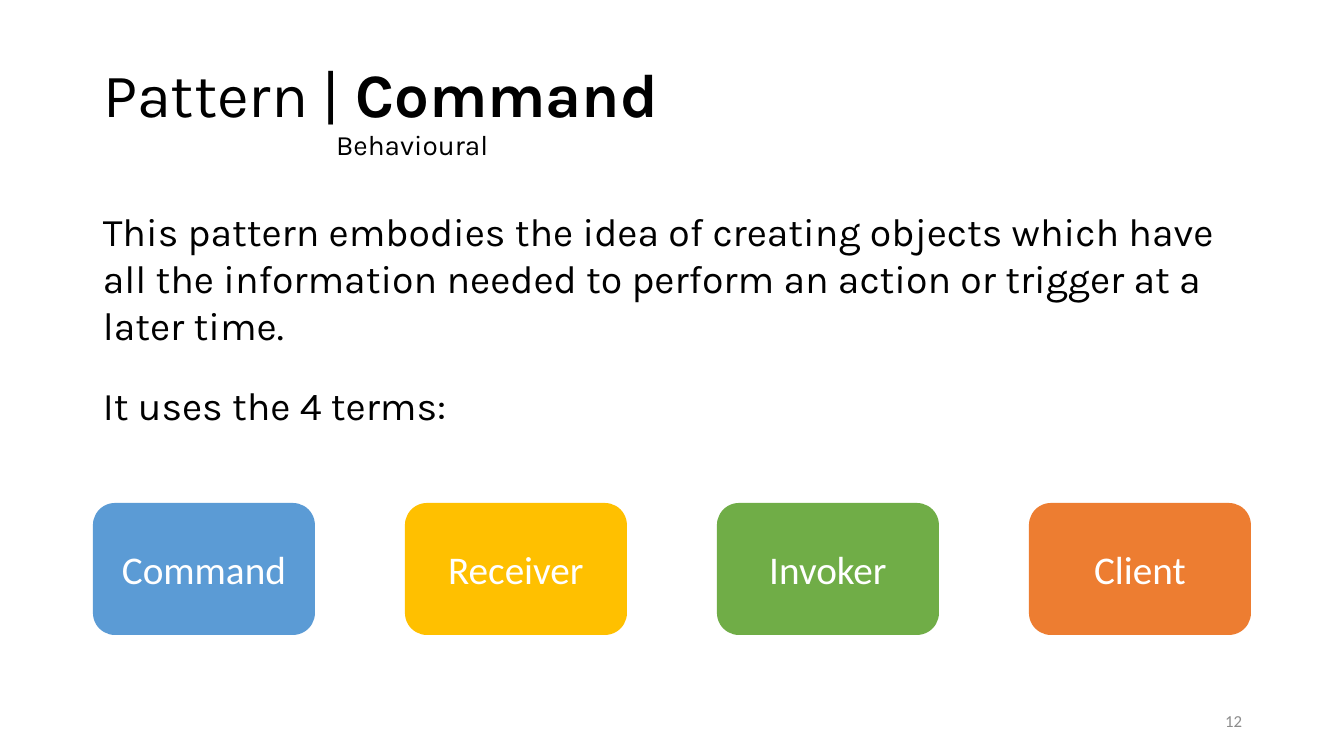
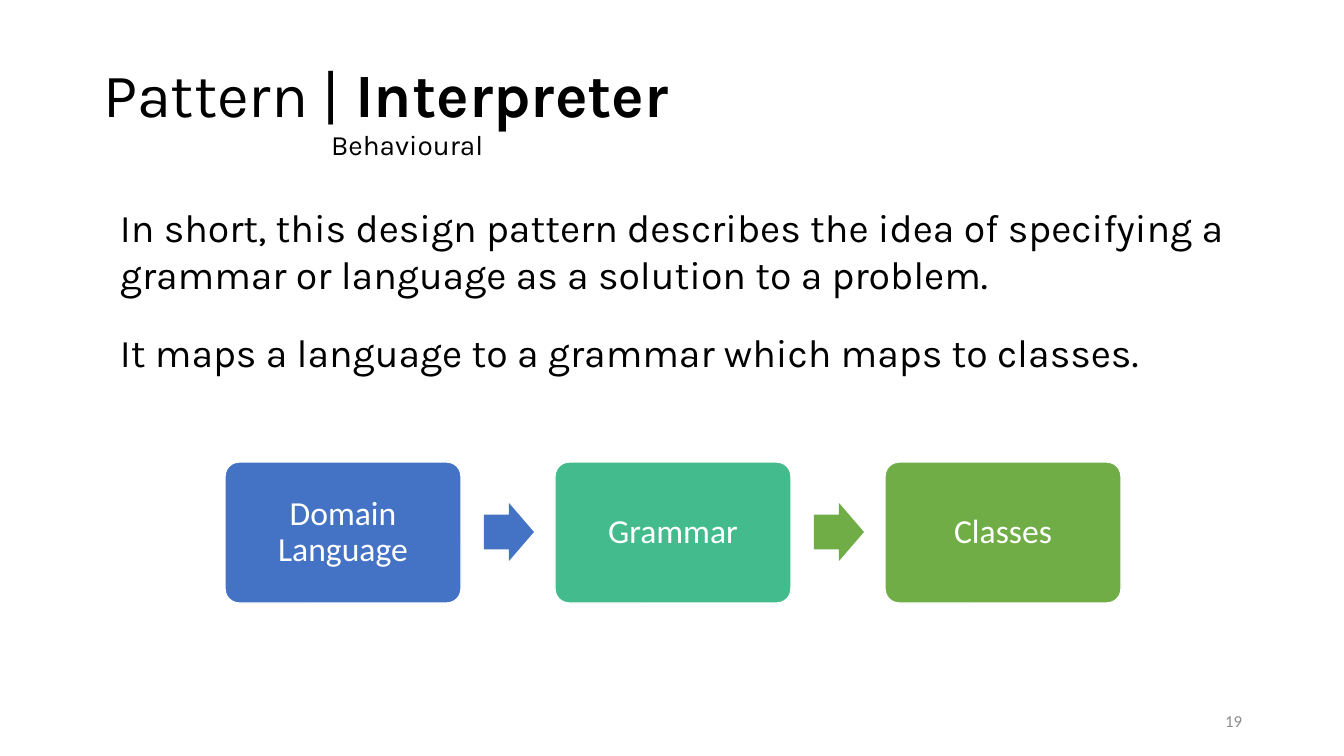
"""Two slides on behavioural design patterns."""
from dataclasses import dataclass

from lxml import etree
from pptx import Presentation
from pptx import util as u
from pptx.dml.color import RGBColor
from pptx.enum import shapes, text
from pptx.oxml import ns
from pptx.shapes.autoshape import Shape
from pptx.slide import Slide
from pptx.text.text import Font, TextFrame

EMU_PER_PX = 914400 / 100.8
HEADING_FONT, LABEL_FONT = "Karla", "Calibri"
COLORS = {
    "text": "000000", "number": "8C8C8C", "white": "FFFFFF",
    "sky": "5B9BD5", "gold": "FFC000", "green": "70AD47",
    "orange": "ED7D31", "blue": "4472C4", "teal": "43BB8D",
}


@dataclass(frozen=True)
class Box:
    """A rectangle in pixels."""
    left: int
    top: int
    width: int
    height: int

    def emu(self) -> tuple[u.Emu, ...]:
        """Return left, top, width and height in EMU."""
        return tuple(px(v) for v in (self.left, self.top, self.width, self.height))

    def shifted(self, dx: int) -> "Box":
        """Return the same box moved right by dx."""
        return Box(self.left + dx, self.top, self.width, self.height)


@dataclass(frozen=True)
class Card:
    """A coloured box with a label."""
    label: str
    color: str


@dataclass(frozen=True)
class CardStyle:
    """What the cards of one row have in common."""
    first: Box
    pitch: int
    size: int
    inset: int = 10
    line_spacing: float = 1.0
    corner: float | None = None
    outline: str | None = None


@dataclass(frozen=True)
class Pattern:
    """The title, text and number of one pattern slide."""
    name: str
    family: str
    family_tab: int
    number: str
    body: Box
    space_before: int
    paragraphs: tuple[str, ...]


TITLE = Box(93, 40, 1159, 146)
NUMBER = Box(950, 701, 302, 40)

COMMAND = Pattern(
    "Command", "Behavioural", 233, "12", Box(93, 202, 1159, 480), 12,
    ("This pattern embodies the idea of creating objects which have all the "
     "information needed to perform an action or trigger at a later time.",
     "It uses the 4 terms:"))
TERMS = (Card("Command", "sky"), Card("Receiver", "gold"),
         Card("Invoker", "green"), Card("Client", "orange"))
TERM_STYLE = CardStyle(Box(93, 503, 222, 132), 312, 28)

INTERPRETER = Pattern(
    "Interpreter", "Behavioural", 228, "19", Box(110, 198, 1159, 480), 10,
    ("In short, this design pattern describes the idea of specifying a "
     "grammar or language as a solution to a problem.",
     "It maps a language to a grammar which maps to classes."))
STEPS = (Card("Domain Language", "blue"), Card("Grammar", "teal"),
         Card("Classes", "green"))
STEP_STYLE = CardStyle(Box(225, 462, 236, 141), 330, 24, inset=14,
                       line_spacing=0.9, corner=0.1, outline="white")
ARROW = Box(484, 503, 50, 58)
ARROW_COLORS = ("blue", "green")


def px(value: int) -> u.Emu:
    """Turn pixels into EMU."""
    return u.Emu(round(value * EMU_PER_PX))


def rgb(name: str) -> RGBColor:
    """Look up a named colour."""
    return RGBColor.from_string(COLORS[name])


def style_font(font: Font, name: str, size: int, color: str) -> None:
    """Set typeface, size and colour."""
    font.name, font.size = name, u.Pt(size)
    font.color.rgb = rgb(color)


def add_text_box(s: Slide, box: Box) -> TextFrame:
    """Add a wrapping text box and return its frame."""
    tf = s.shapes.add_textbox(*box.emu()).text_frame
    tf.word_wrap = True
    return tf


def set_title(s: Slide, pattern: Pattern) -> None:
    """Fill the title with the pattern's name above its family."""
    sp = s.shapes.title
    sp.left, sp.top, sp.width, sp.height = TITLE.emu()
    tf = sp.text_frame
    tf.auto_size = text.MSO_AUTO_SIZE.NONE
    tf.vertical_anchor = text.MSO_ANCHOR.MIDDLE
    p = tf.paragraphs[0]
    tabs = etree.SubElement(p._p.get_or_add_pPr(), ns.qn("a:tabLst"))
    etree.SubElement(tabs, ns.qn("a:tab"), pos=str(px(pattern.family_tab)), algn="l")
    p.alignment, p.line_spacing = text.PP_ALIGN.LEFT, 0.9
    style_font(p.font, HEADING_FONT, 44, "text")
    p.add_run().text = "Pattern | "
    r = p.add_run()
    r.text, r.font.bold = pattern.name, True
    p.add_line_break()
    r = p.add_run()
    r.text, r.font.size = f"\t{pattern.family}", u.Pt(20)


def add_body(s: Slide, pattern: Pattern) -> None:
    """Write the paragraphs that explain the pattern."""
    tf = add_text_box(s, pattern.body)
    for i, sentence in enumerate(pattern.paragraphs):
        p = tf.add_paragraph() if i else tf.paragraphs[0]
        p.text = sentence
        p.space_before, p.space_after = u.Pt(pattern.space_before), u.Pt(12)
        style_font(p.font, HEADING_FONT, 28, "text")


def add_number(s: Slide, number: str) -> None:
    """Write the slide number at the bottom right."""
    tf = add_text_box(s, NUMBER)
    tf.vertical_anchor = text.MSO_ANCHOR.MIDDLE
    p = tf.paragraphs[0]
    p.text, p.alignment = number, text.PP_ALIGN.RIGHT
    style_font(p.font, LABEL_FONT, 12, "number")


def add_pattern_slide(prs: Presentation, pattern: Pattern) -> Slide:
    """Add a slide with title, body text and number."""
    s = prs.slides.add_slide(prs.slide_layouts.get_by_name("Title Only"))
    set_title(s, pattern)
    add_body(s, pattern)
    add_number(s, pattern.number)
    return s


def add_filled(s: Slide, kind: shapes.MSO_SHAPE, box: Box, color: str,
               outline: str | None = None) -> Shape:
    """Add a flat preset shape."""
    sp = s.shapes.add_shape(kind, *box.emu())
    sp.shadow.inherit = False
    sp.fill.solid()
    sp.fill.fore_color.rgb = rgb(color)
    if outline:
        sp.line.color.rgb, sp.line.width = rgb(outline), u.Pt(1)
    else:
        sp.line.fill.background()
    return sp


def add_cards(s: Slide, cards: tuple[Card, ...], style: CardStyle) -> None:
    """Draw a row of evenly spaced rounded cards."""
    for i, card in enumerate(cards):
        sp = add_filled(s, shapes.MSO_SHAPE.ROUNDED_RECTANGLE,
                        style.first.shifted(i * style.pitch), card.color, style.outline)
        if style.corner is not None:
            sp.adjustments[0] = style.corner
        tf = sp.text_frame
        tf.word_wrap = True
        tf.vertical_anchor = text.MSO_ANCHOR.MIDDLE
        tf.margin_left = tf.margin_right = px(style.inset)
        p = tf.paragraphs[0]
        p.text, p.alignment = card.label, text.PP_ALIGN.CENTER
        p.line_spacing = style.line_spacing
        style_font(p.font, LABEL_FONT, style.size, "white")


def add_arrows(s: Slide, pitch: int) -> None:
    """Draw the arrows between neighbouring cards."""
    for i, color in enumerate(ARROW_COLORS):
        sp = add_filled(s, shapes.MSO_SHAPE.RIGHT_ARROW, ARROW.shifted(i * pitch), color)
        sp.adjustments[0], sp.adjustments[1] = 0.6, 0.5


def main() -> None:
    """Build and save the presentation."""
    prs = Presentation()
    prs.slide_width, prs.slide_height = px(1344), px(756)
    add_cards(add_pattern_slide(prs, COMMAND), TERMS, TERM_STYLE)
    s = add_pattern_slide(prs, INTERPRETER)
    add_cards(s, STEPS, STEP_STYLE)
    add_arrows(s, STEP_STYLE.pitch)
    prs.save("out.pptx")


main()
